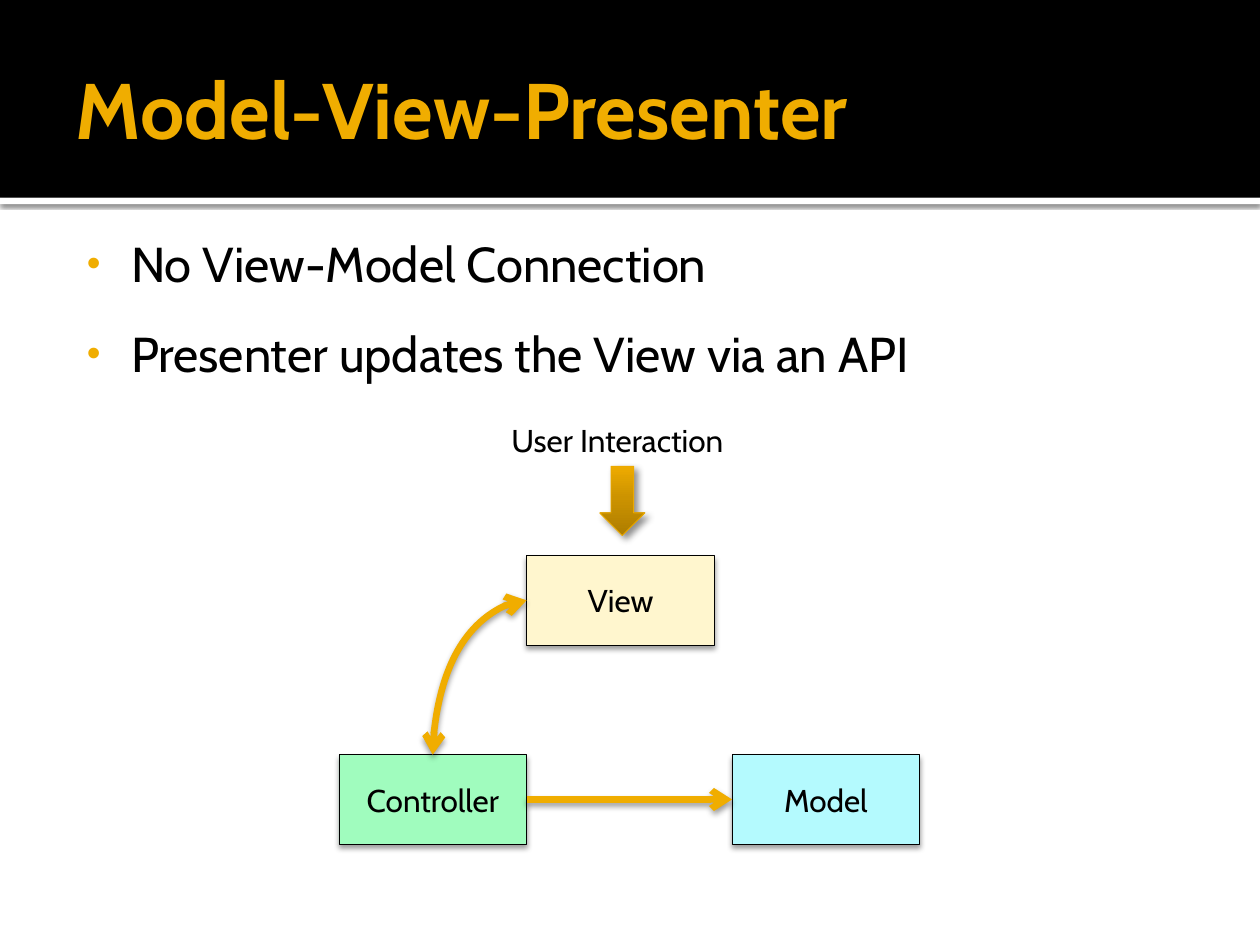
from lxml import etree
from pptx import Presentation
from pptx.dml.color import RGBColor
from pptx.enum.shapes import MSO_CONNECTOR as CXN, MSO_SHAPE as SHAPE
from pptx.enum.text import MSO_ANCHOR as ANCHOR, MSO_AUTO_SIZE as AUTO, PP_ALIGN as ALIGN
from pptx.oxml.ns import nsdecls, qn
from pptx.util import Inches, Pt

FONT = "Cabin"
GOLD, BLACK, WHITE = "F0AD00", "000000", "FFFFFF"
TOP, LEFT, BOTTOM, RIGHT = range(4)


def rgb(color):
    return RGBColor.from_string(color)


def xml(tag, attrs="", inner=""):
    return etree.fromstring(f"<a:{tag} {nsdecls('a')} {attrs}>{inner}</a:{tag}>")


def add_shadow(s, alpha, blur, dist, angle):
    """Give a shape or connector an outer shadow (percent, points, degrees)."""
    shade = (f'<a:outerShdw blurRad="{Pt(blur)}" dist="{Pt(dist)}" dir="{angle * 60000}" rotWithShape="0">'
             f'<a:srgbClr val="{BLACK}"><a:alpha val="{alpha * 1000}"/></a:srgbClr></a:outerShdw>')
    s._element.spPr.append(xml("effectLst", inner=shade))


def add_run(p, text, size, color=BLACK, bold=False):
    r = p.add_run()
    r.text = text
    r.font.name, r.font.size, r.font.bold = FONT, Pt(size), bold
    r.font.color.rgb = rgb(color)


def set_frame(tf, margins, anchor):
    tf.word_wrap, tf.auto_size, tf.vertical_anchor = True, AUTO.NONE, anchor
    tf.margin_left, tf.margin_top, tf.margin_right, tf.margin_bottom = map(Inches, margins)


def place(s, x, y, w, h):
    s.left, s.top, s.width, s.height = map(Inches, (x, y, w, h))


def add_box(shapes, x, y, w, h, fill, line=None, kind=SHAPE.RECTANGLE):
    s = shapes.add_shape(kind, *map(Inches, (x, y, w, h)))
    s.fill.solid()
    s.fill.fore_color.rgb = rgb(fill)
    if line:
        s.line.color.rgb = rgb(line)
        s.line.width = Pt(0.5)
    else:
        s.line.fill.background()
    return s


def add_header(slide, x, y, w, h):
    # Black band with a thin white strip below, behind the title
    strip = add_box(slide.shapes, x, y + h, w, 0.05, WHITE)
    add_shadow(strip, 60, 2.5, 0.8, 90)
    band = add_box(slide.shapes, x, y, w, h, BLACK)
    band.shadow.inherit = False
    for s in (band, strip):
        slide.shapes._spTree.insert(2, s._element)

    title = slide.shapes.title
    place(title, x + 0.5, y + 0.17, w - 1, 1.37)
    set_frame(title.text_frame, (0.1, 0.05, 0.05, 0.05), ANCHOR.MIDDLE)
    p = title.text_frame.paragraphs[0]
    p.alignment = ALIGN.LEFT
    add_run(p, "Model-View-Presenter", 45, GOLD, bold=True)


def add_bullets(slide, x, y, w, h, items):
    body = slide.placeholders[1]
    place(body, x, y, w, h)
    tf = body.text_frame
    set_frame(tf, (0.06, 0.1, 0.1, 0.05), ANCHOR.TOP)
    for i, item in enumerate(items):
        p = tf.add_paragraph() if i else tf.paragraphs[0]
        p.space_before = Pt(18)
        pPr = p._p.get_or_add_pPr()
        pPr.set("marL", str(Inches(0.48)))
        pPr.set("indent", str(Inches(-0.35)))
        pPr.append(xml("buClr", inner=f'<a:srgbClr val="{GOLD}"/>'))
        pPr.append(xml("buSzPct", 'val="80000"'))
        pPr.append(xml("buFont", 'typeface="Arial"'))
        pPr.append(xml("buChar", 'char="•"'))
        add_run(p, item, 28)


def add_node(shapes, x, y, label, fill):
    s = add_box(shapes, x, y, 1.49, 0.71, fill, BLACK)
    add_shadow(s, 38, 3.1, 2, 90)
    s.text_frame.vertical_anchor = ANCHOR.MIDDLE
    p = s.text_frame.paragraphs[0]
    p.alignment = ALIGN.CENTER
    add_run(p, label, 18)
    return s


def add_link(shapes, kind, start, start_side, end, end_side, heads):
    c = shapes.add_connector(kind, 0, 0, 0, 0)
    c.begin_connect(start, start_side)
    c.end_connect(end, end_side)
    if kind == CXN.CURVE:  # a single bend: leaves sideways, arrives downwards
        c._element.spPr.find(qn("a:prstGeom")).set("prst", "curvedConnector2")
    c.line.color.rgb = rgb(GOLD)
    c.line.width = Pt(3.78)
    for head in heads:
        c.line._get_or_add_ln().append(xml(head, 'type="arrow"'))
    add_shadow(c, 38, 3.5, 2, 90)


def add_user_arrow(shapes, x, y, w, h):
    s = add_box(shapes, x, y, w, h, GOLD, "EBA900", SHAPE.DOWN_ARROW)
    stops = "".join(f'<a:gs pos="{pos * 1000}"><a:srgbClr val="{color}"/></a:gs>'
                    for pos, color in ((0, "AE7D00"), (55, "CC9300"), (100, "EEAB00")))
    grad = xml("gradFill", 'rotWithShape="1"',
               f'<a:gsLst>{stops}</a:gsLst><a:lin ang="{270 * 60000}" scaled="0"/>')
    spPr = s._element.spPr
    spPr.replace(spPr.find(qn("a:solidFill")), grad)
    add_shadow(s, 43, 4, 3, 45)


def add_diagram(slide, x, y):
    shapes = slide.shapes.add_group_shape().shapes
    # Nodes
    controller = add_node(shapes, x, y + 2.7, "Controller", "A0FCBE")
    model = add_node(shapes, x + 3.12, y + 2.7, "Model", "B4FAFE")
    view = add_node(shapes, x + 1.49, y + 1.12, "View", "FFF6CE")

    # User input
    add_user_arrow(shapes, x + 2.07, y + 0.41, 0.36, 0.55)
    label = shapes.add_textbox(*map(Inches, (x + 1.27, y, 1.98, 0.4)))
    label.text_frame.word_wrap = False
    label.text_frame.auto_size = AUTO.SHAPE_TO_FIT_TEXT
    add_run(label.text_frame.paragraphs[0], "User Interaction", 18)

    # Links
    add_link(shapes, CXN.STRAIGHT, controller, RIGHT, model, LEFT, ["tailEnd"])
    add_link(shapes, CXN.CURVE, view, LEFT, controller, TOP, ["headEnd", "tailEnd"])


def main():
    prs = Presentation()
    prs.slide_width, prs.slide_height = Inches(10), Inches(7.5)
    slide = prs.slides.add_slide(prs.slide_layouts[1])
    add_header(slide, 0, 0, 10, 1.57)
    add_bullets(slide, 0.5, 1.75, 9, 4.95,
                ["No View-Model Connection", "Presenter updates the View via an API"])
    add_diagram(slide, 2.69, 3.29)
    prs.save("out.pptx")


if __name__ == "__main__":
    main()
